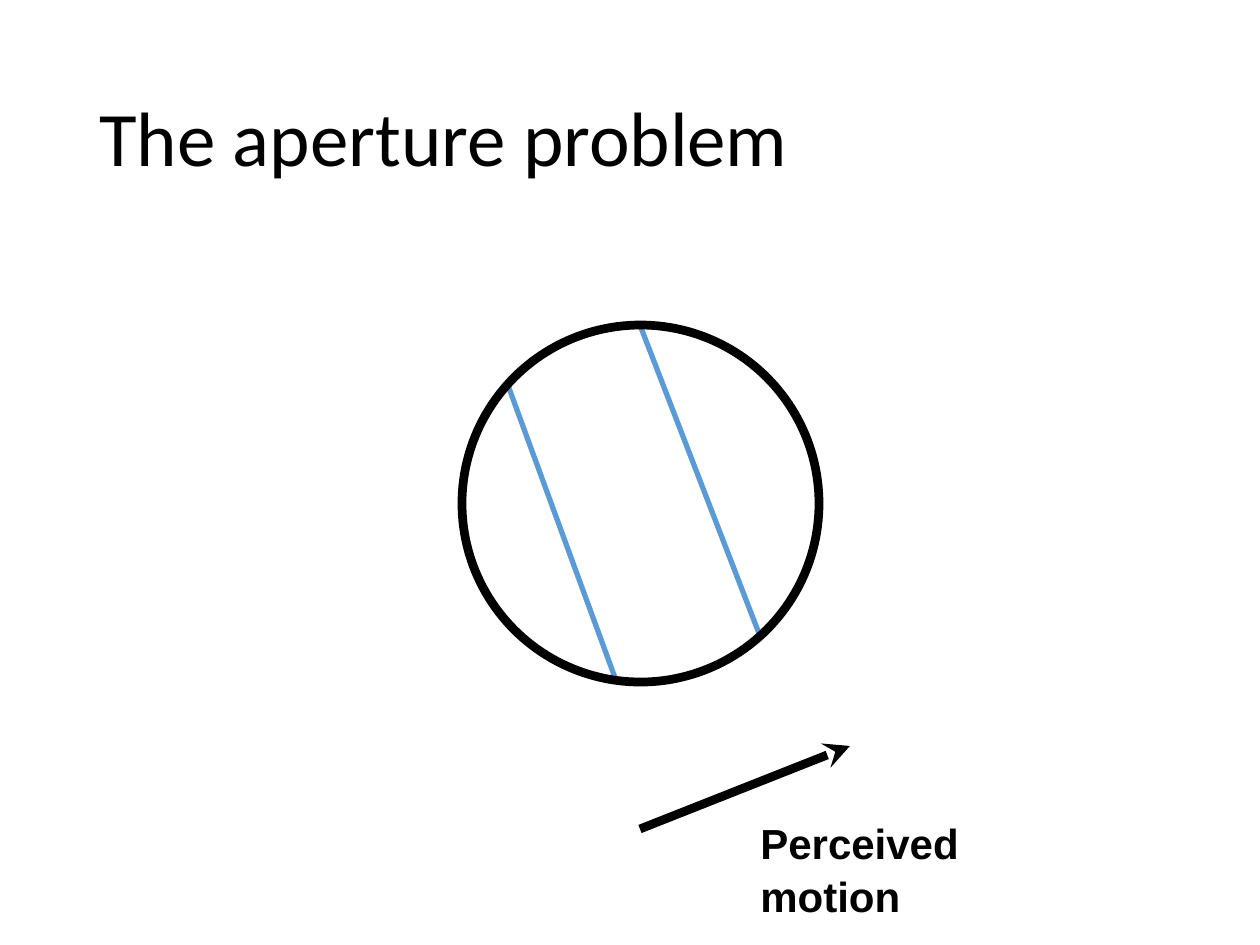
from lxml.etree import SubElement
from pptx import Presentation
from pptx.dml.color import RGBColor
from pptx.enum.shapes import MSO_CONNECTOR, MSO_SHAPE
from pptx.enum.text import MSO_ANCHOR
from pptx.oxml.ns import qn
from pptx.util import Emu, Pt

BLACK = RGBColor(0x00, 0x00, 0x00)
BLUE = RGBColor(0x5B, 0x9B, 0xD5)
EMU_PER_PX = 914400 / 126


def px(*lengths):
    return [Emu(round(length * EMU_PER_PX)) for length in lengths]


def add_line(ends, color, width):
    line = slide.shapes.add_connector(MSO_CONNECTOR.STRAIGHT, *px(*ends))
    line.line.color.rgb = color
    line.line.width = Pt(width)
    SubElement(line._element.spPr, qn("a:effectLst"))
    return line


presentation = Presentation()
presentation.slide_width, presentation.slide_height = px(1260, 945)
slide = presentation.slides.add_slide(presentation.slide_layouts[6])

# Moving bars, cut off by the aperture
for bar_ends in [(509, 388, 617, 683), (640, 325, 760, 636)]:
    add_line(bar_ends, BLUE, 3)

aperture = slide.shapes.add_shape(MSO_SHAPE.OVAL, *px(462, 325, 357, 357))
aperture.shadow.inherit = False
aperture.fill.background()
aperture.line.color.rgb = BLACK
aperture.line.width = Pt(5)

motion = add_line((640, 829, 850, 746), BLACK, 5)
SubElement(motion.line._get_or_add_ln(), qn("a:tailEnd"), type="stealth")

# Title and label
captions = [
    ("The aperture problem", (87, 50, 1086, 183), MSO_ANCHOR.MIDDLE, 0.9,
     {"name": "Calibri", "size": Pt(44), "bold": False}),
    ("Perceived motion", (748, 809, 355, 63), MSO_ANCHOR.TOP, 1.05,
     {"name": "Arial", "size": Pt(24), "bold": True}),
]
for wording, bounds, anchor, spacing, font_format in captions:
    frame = slide.shapes.add_textbox(*px(*bounds)).text_frame
    frame.word_wrap = True
    frame.vertical_anchor = anchor
    paragraph = frame.paragraphs[0]
    paragraph.line_spacing = spacing
    run = paragraph.add_run()
    run.text = wording
    run.font.color.rgb = BLACK
    for attribute, value in font_format.items():
        setattr(run.font, attribute, value)

presentation.save("out.pptx")
